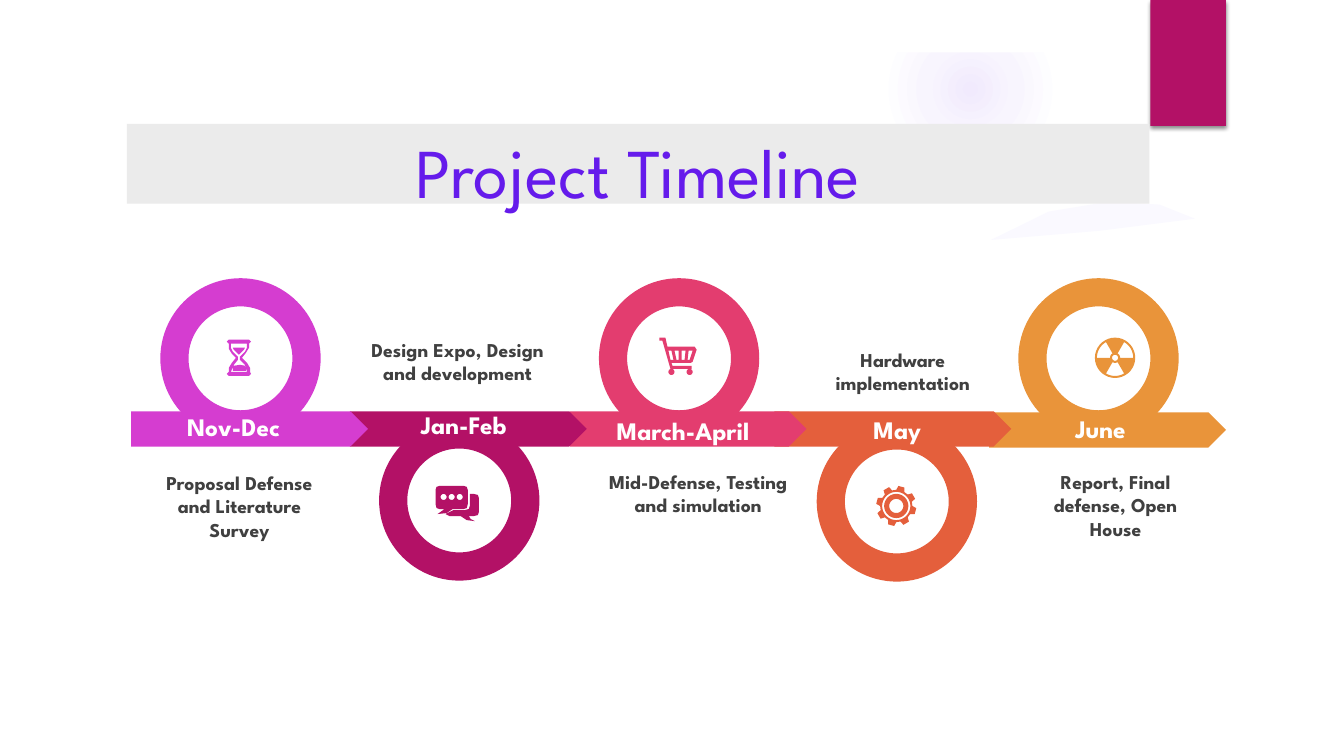
import math

from lxml import etree
from pptx import Presentation
from pptx.dml.color import RGBColor
from pptx.enum import shapes, text
from pptx.oxml import ns
from pptx.util import Inches, Pt

FONT = "League Spartan"
WHITE = RGBColor(0xFF, 0xFF, 0xFF)
DARK_GREY = RGBColor(0x40, 0x40, 0x40)
LIGHT_GREY = RGBColor(0xEB, 0xEB, 0xEB)
TITLE_VIOLET = RGBColor(0x65, 0x1B, 0xEB)
PALE_VIOLET = RGBColor(0xF1, 0xEA, 0xFD)
FAINT_VIOLET = RGBColor(0xFA, 0xF9, 0xFF)
PURPLE = RGBColor(0xD5, 0x3D, 0xD0)
MAGENTA = RGBColor(0xB3, 0x11, 0x66)
PINK = RGBColor(0xE3, 0x3D, 0x6F)
ORANGE = RGBColor(0xE4, 0x5F, 0x3C)
AMBER = RGBColor(0xE9, 0x94, 0x3A)

HOURGLASS = [
    [(2.27, 3.37), (2.47, 3.37), (2.49, 3.39), (2.47, 3.41), (2.47, 3.45), (2.44, 3.5),
     (2.4, 3.55), (2.45, 3.6), (2.48, 3.65), (2.48, 3.69), (2.49, 3.71), (2.47, 3.73),
     (2.27, 3.73), (2.25, 3.71), (2.27, 3.69), (2.27, 3.65), (2.3, 3.6), (2.34, 3.55),
     (2.3, 3.51), (2.27, 3.46), (2.27, 3.41), (2.25, 3.39)],
    [(2.29, 3.41), (2.29, 3.45), (2.31, 3.49), (2.36, 3.54), (2.36, 3.57), (2.32, 3.62),
     (2.29, 3.69), (2.45, 3.69), (2.43, 3.62), (2.38, 3.57), (2.38, 3.54), (2.43, 3.49),
     (2.45, 3.45), (2.45, 3.41)],
    [(2.31, 3.45), (2.43, 3.45), (2.42, 3.47), (2.37, 3.52), (2.32, 3.47)],
    [(2.31, 3.63), (2.38, 3.62), (2.44, 3.63), (2.44, 3.68), (2.31, 3.68)],
]
SPEECH_BUBBLES = [
    [(4.36, 4.82), (4.6, 4.82), (4.63, 4.83), (4.64, 4.86), (4.64, 5), (4.63, 5.04),
     (4.6, 5.05), (4.49, 5.05), (4.43, 5.09), (4.34, 5.1), (4.41, 5.05), (4.36, 5.05),
     (4.33, 5.04), (4.32, 5), (4.32, 4.86), (4.33, 4.83)],
    [(4.66, 4.9), (4.7, 4.9), (4.74, 4.91), (4.75, 4.94), (4.75, 5.08), (4.74, 5.11),
     (4.7, 5.12), (4.65, 5.12), (4.67, 5.15), (4.71, 5.17), (4.63, 5.16), (4.57, 5.12),
     (4.46, 5.12), (4.42, 5.1), (4.5, 5.06), (4.61, 5.06), (4.65, 5.05), (4.66, 5.02)],
]
CART = [
    [(6.54, 3.35), (6.6, 3.35), (6.62, 3.44), (6.89, 3.44), (6.91, 3.47), (6.87, 3.59),
     (6.85, 3.6), (6.66, 3.6), (6.67, 3.63), (6.86, 3.63), (6.86, 3.66), (6.65, 3.66),
     (6.57, 3.38), (6.54, 3.38)],
    [(6.63, 3.48), (6.66, 3.48), (6.68, 3.57), (6.65, 3.57)],
    [(6.69, 3.48), (6.73, 3.48), (6.73, 3.57), (6.71, 3.57)],
    [(6.76, 3.48), (6.8, 3.48), (6.79, 3.57), (6.76, 3.57)],
    [(6.83, 3.48), (6.87, 3.48), (6.84, 3.57), (6.82, 3.57)],
]


def arc(x, y, radius, start=0, end=360, steps=36):
    """Return points along an arc, with angles in degrees clockwise from the right."""
    angles = [math.radians(start + (end - start) * i / steps) for i in range(steps + 1)]
    return [(x + radius * math.cos(a), y + radius * math.sin(a)) for a in angles]


def gear(x, y):
    """Return the outlines of an eight-toothed gear."""
    teeth = []
    for centre in range(-75, 285, 45):
        for radius, offset in ((0.16, -15), (0.2, -9), (0.2, 9), (0.16, 15)):
            teeth += arc(x, y, radius, centre + offset, centre + offset, 1)[:1]
    return [teeth] + [arc(x, y, radius) for radius in (0.14, 0.12, 0.07)]


def radiation_sign(x, y):
    """Return the outlines of a three-bladed radiation sign."""
    gaps = [arc(x, y, 0.18, start, start + 60) + arc(x, y, 0.05, start + 60, start)
            for start in (60, 180, 300)]
    return [arc(x, y, 0.2), arc(x, y, 0.03)] + gaps


def style(shape, color):
    """Give a shape a plain fill without line or shadow."""
    shape.shadow.inherit = False
    shape.fill.solid()
    shape.fill.fore_color.rgb = color
    shape.line.fill.background()
    return shape


def add_plain(slide, kind, left, top, width, height, color):
    """Add a preset shape in one colour."""
    box = [Inches(value) for value in (left, top, width, height)]
    return style(slide.shapes.add_shape(kind, *box), color)


def add_outline(slide, contours, color):
    """Add a freeform made of closed contours given in inches."""
    points = [[(Inches(x), Inches(y)) for x, y in contour] for contour in contours]
    builder = slide.shapes.build_freeform(*points[0][0], scale=1)
    for index, contour in enumerate(points):
        if index:
            builder.move_to(*contour[0])
        builder.add_line_segments(contour[1:], close=True)
    style(builder.convert_to_shape(), color)


def write(paragraph, words, size, color, bold=False):
    """Add one centred run to a paragraph."""
    paragraph.alignment = text.PP_ALIGN.CENTER
    run = paragraph.add_run()
    run.text = words
    run.font.name = FONT
    run.font.size = Pt(size)
    run.font.bold = bold
    run.font.color.rgb = color


def add_text(slide, left, top, width, height, lines, size, color):
    """Add a wrapping text box with one bold paragraph per line."""
    box = slide.shapes.add_textbox(*[Inches(value) for value in (left, top, width, height)])
    frame = box.text_frame
    frame.word_wrap = True
    frame.auto_size = text.MSO_AUTO_SIZE.SHAPE_TO_FIT_TEXT
    for index, line in enumerate(lines):
        paragraph = frame.add_paragraph() if index else frame.paragraphs[0]
        write(paragraph, line, size, color, bold=True)


def add_backdrop(slide):
    """Add the soft glow, the faint sweep and the corner ribbon."""
    glow = add_plain(slide, shapes.MSO_SHAPE.OVAL, 8.75, 0.01, 1.75, 1.75, PALE_VIOLET)
    properties = glow.element.spPr
    solid = properties.find(ns.qn("a:solidFill"))
    properties.replace(solid, etree.fromstring(
        f'<a:gradFill {ns.nsdecls("a")}><a:gsLst>'
        f'<a:gs pos="0"><a:srgbClr val="{PALE_VIOLET}"/></a:gs>'
        '<a:gs pos="36000"><a:srgbClr val="F8F5FE"/></a:gs>'
        f'<a:gs pos="73000"><a:srgbClr val="{WHITE}"/></a:gs></a:gsLst>'
        '<a:path path="circle"><a:fillToRect l="50000" t="50000" r="50000" b="50000"/>'
        '</a:path></a:gradFill>'))
    add_plain(slide, shapes.MSO_SHAPE.RECTANGLE, 0, 0, 13.33, 0.52, WHITE)
    sweep = [(9.83, 2.38), (10.4, 2.1), (11, 2), (11.5, 2.03), (11.85, 2.17), (10.9, 2.29)]
    add_outline(slide, [sweep], FAINT_VIOLET)
    ribbon = add_plain(slide, shapes.MSO_SHAPE.RECTANGLE, 11.41, 0, 0.75, 1.25, MAGENTA)
    ribbon.element.spPr.find(ns.qn("a:effectLst")).append(etree.fromstring(
        f'<a:outerShdw {ns.nsdecls("a")} blurRad="{Pt(3)}" dist="{Pt(2)}" dir="5400000" '
        'rotWithShape="0"><a:srgbClr val="000000"><a:alpha val="45000"/></a:srgbClr>'
        '</a:outerShdw>'))


def add_title(slide):
    """Add the title band."""
    band = add_plain(slide, shapes.MSO_SHAPE.RECTANGLE, 1.26, 1.23, 10.14, 0.79, LIGHT_GREY)
    frame = band.text_frame
    frame.word_wrap = True
    frame.margin_top = Inches(0.19)
    frame.vertical_anchor = text.MSO_ANCHOR.MIDDLE
    write(frame.paragraphs[0], "Project Timeline", 50, TITLE_VIOLET)


def add_phase(slide, color, arrow, ring, label, label_box, lines, lines_box, icon):
    """Add one phase: arrow, ring, month label, description and icon."""
    add_plain(slide, shapes.MSO_SHAPE.PENTAGON, *arrow, 2.35, 0.35, color)
    donut = add_plain(slide, shapes.MSO_SHAPE.DONUT, *ring, 1.59, 1.59, color)
    donut.adjustments[0] = 0.176
    add_text(slide, *label_box, 0.4, [label], 18, WHITE)
    add_text(slide, *lines_box, lines, 14, DARK_GREY)
    add_outline(slide, icon, color)


def main():
    """Build the project timeline slide."""
    presentation = Presentation()
    presentation.slide_width = Inches(13.33)
    presentation.slide_height = Inches(7.5)
    slide = presentation.slides.add_slide(presentation.slide_layouts[6])
    add_backdrop(slide)
    add_title(slide)
    dots = [arc(x, 4.93, 0.03) for x in (4.4, 4.48, 4.56)]
    wheels = [arc(x, 3.69, 0.03) for x in (6.66, 6.84)]
    phases = [
        (AMBER, (9.81, 4.09), (10.1, 2.76), "June", (10.24, 4.05, 1.35),
         ["Report, Final defense, Open House"], (10.09, 4.61, 1.95, 0.81),
         radiation_sign(11.06, 3.55)),
        (ORANGE, (7.68, 4.08), (8.1, 4.18), "May", (8, 4.06, 1.8),
         ["Hardware implementation"], (7.98, 3.4, 1.95, 0.57), gear(8.89, 5.02)),
        (PINK, (5.65, 4.08), (5.94, 2.76), "March-April", (5.74, 4.07, 2.07),
         ["Mid-Defense, Testing and simulation"], (5.85, 4.61, 2.15, 0.57), CART + wheels),
        (MAGENTA, (3.47, 4.08), (3.76, 4.17), "Jan-Feb", (3.95, 4.01, 1.3),
         ["Design Expo, Design and development"], (3.51, 3.3, 2.06, 0.81),
         SPEECH_BUBBLES + dots),
        (PURPLE, (1.3, 4.08), (1.59, 2.76), "Nov-Dec", (1.59, 4.03, 1.45),
         ["Proposal Defense", "and Literature Survey"], (1.4, 4.62, 1.95, 0.81), HOURGLASS),
    ]
    for phase in phases:
        add_phase(slide, *phase)
    presentation.save("out.pptx")


if __name__ == "__main__":
    main()
